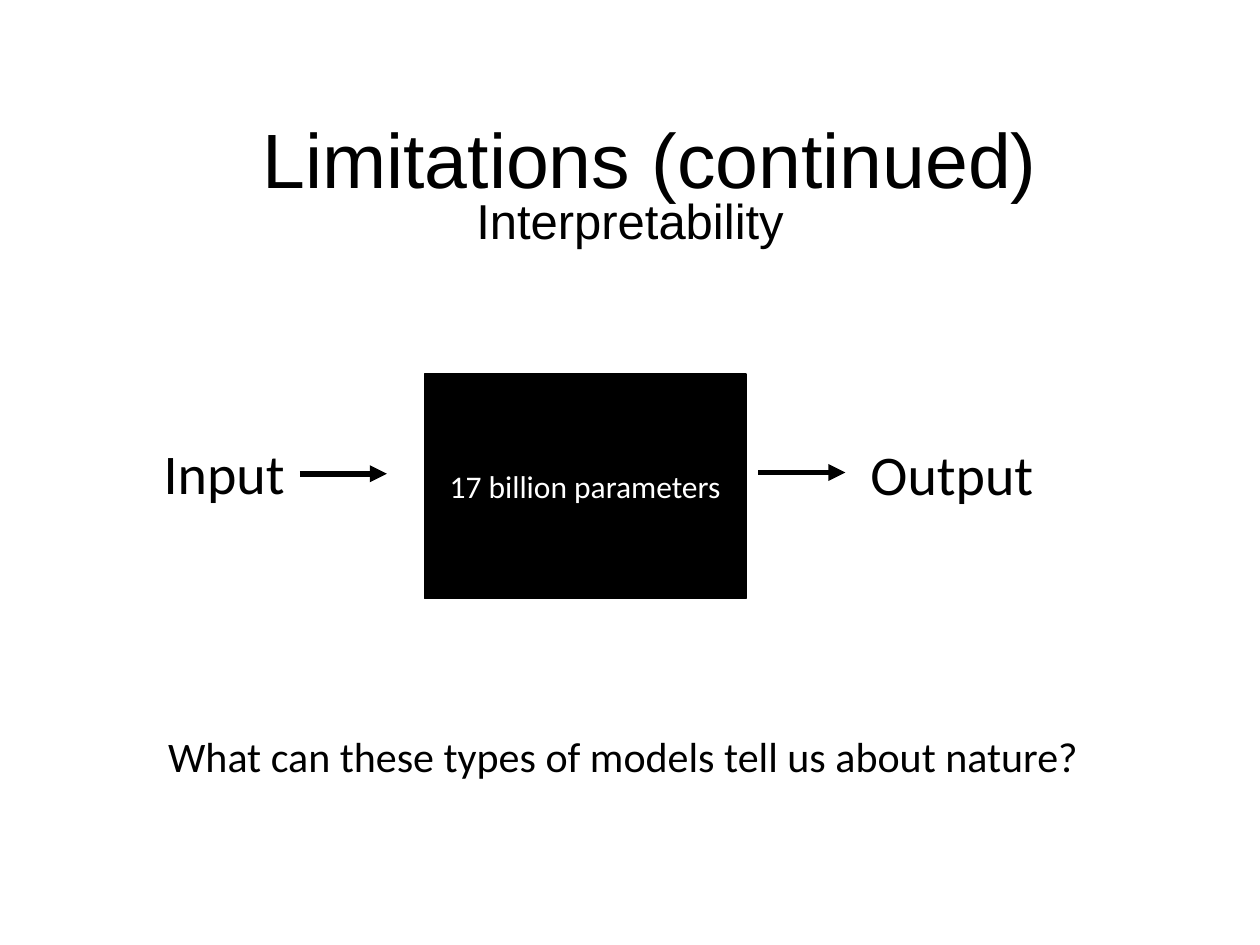
from lxml import etree
from pptx import Presentation
from pptx.dml.color import RGBColor
from pptx.enum.shapes import MSO_CONNECTOR, MSO_SHAPE
from pptx.enum.text import MSO_ANCHOR, PP_ALIGN
from pptx.oxml.ns import qn
from pptx.util import Pt

LEFT, CENTER = PP_ALIGN.LEFT, PP_ALIGN.CENTER
TOP, MIDDLE = MSO_ANCHOR.TOP, MSO_ANCHOR.MIDDLE
RECTANGLE = MSO_SHAPE.RECTANGLE
STRAIGHT = MSO_CONNECTOR.STRAIGHT
BLACK, WHITE = "000000", "FFFFFF"

HEADING = {"name": "Arial", "alignment": CENTER, "line_spacing": 0.9}
LABEL = {"name": "Calibri", "size": 32, "wrap": False}


def color(hex_value):
    return RGBColor.from_string(hex_value)


def write_text(shape, text, size, name, hex_value=BLACK, alignment=LEFT,
               anchor=TOP, line_spacing=1.0, wrap=True):
    frame = shape.text_frame
    paragraph = frame.paragraphs[0]
    paragraph.text = text
    paragraph.font.color.rgb = color(hex_value)
    formats = (
        (frame, {"word_wrap": wrap, "vertical_anchor": anchor}),
        (paragraph, {"alignment": alignment, "line_spacing": line_spacing}),
        (paragraph.font, {"name": name, "size": Pt(size)}),
    )
    for target, values in formats:
        for attribute, value in values.items():
            setattr(target, attribute, value)


def add_text(slide, box, text, **text_format):
    shape = slide.shapes.add_textbox(*map(Pt, box))
    write_text(shape, text, **text_format)


def add_box(slide, box, text, **text_format):
    shape = slide.shapes.add_shape(RECTANGLE, *map(Pt, box))
    shape.shadow.inherit = False
    shape.fill.solid()
    shape.fill.fore_color.rgb = color(BLACK)
    shape.line.color.rgb = color(BLACK)
    shape.line.width = Pt(1)
    write_text(shape, text, **text_format)


def add_arrow(slide, left, top, length):
    arrow = slide.shapes.add_connector(
        STRAIGHT, Pt(left), Pt(top), Pt(left + length), Pt(top))
    arrow.line.color.rgb = color(BLACK)
    arrow.line.width = Pt(3.25)
    etree.SubElement(arrow.line._get_or_add_ln(), qn("a:tailEnd"), type="triangle")
    etree.SubElement(arrow._element.spPr, qn("a:effectLst"))


def main():
    presentation = Presentation()
    presentation.slide_width, presentation.slide_height = Pt(720), Pt(540)
    slide = presentation.slides.add_slide(presentation.slide_layouts[6])

    add_text(slide, (49.7, 109.4, 620.6, 41), "Interpretability", size=28, **HEADING)
    add_text(slide, (61.2, 41, 620.6, 104.4), "Limitations (continued)",
             size=44, anchor=MIDDLE, **HEADING)

    add_text(slide, (86.4, 247, 85, 46), "Input", **LABEL)
    add_arrow(slide, 171.4, 270.7, 49.7)
    add_box(slide, (242.6, 213.8, 183.6, 128.2), "17 billion parameters", size=18,
            name="Calibri", hex_value=WHITE, alignment=CENTER, anchor=MIDDLE)
    add_arrow(slide, 433.4, 270, 49.7)
    add_text(slide, (490.3, 247.7, 108.7, 46), "Output", **LABEL)

    add_text(slide, (86.4, 414, 539.3, 36),
             "What can these types of models tell us about nature?",
             size=24, name="Calibri", alignment=CENTER, wrap=False)

    presentation.save("out.pptx")


if __name__ == "__main__":
    main()
